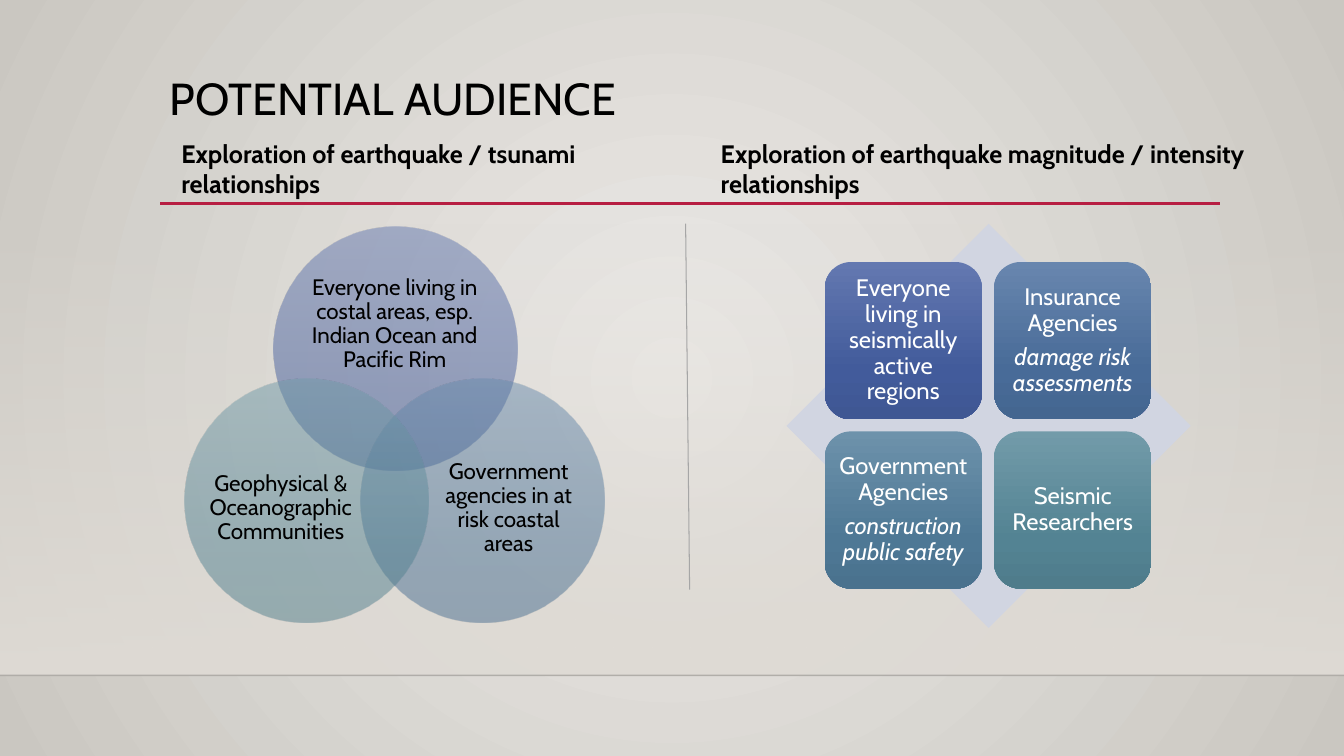
from lxml import etree
from pptx import Presentation
from pptx.dml.color import RGBColor
from pptx.enum.shapes import MSO_CONNECTOR as Connector, MSO_SHAPE as Shape
from pptx.enum.text import MSO_ANCHOR as Anchor, MSO_AUTO_SIZE as AutoSize, PP_ALIGN as Align
from pptx.oxml.ns import qn
from pptx.util import Pt

PX = 9144
WIDTH, HEIGHT = 1333, 750
FONT = "Cabin"
BLACK = RGBColor(0x00, 0x00, 0x00)
WHITE = RGBColor(0xFF, 0xFF, 0xFF)
CRIMSON = RGBColor(0xB7, 0x1E, 0x42)
GREY = RGBColor(0xA6, 0xA6, 0xA6)
PALE_BLUE = RGBColor(0xD1, 0xD5, 0xE1)
SAND = RGBColor(0xDF, 0xDB, 0xD5)
LIGHT_STONE = RGBColor(0xEC, 0xEA, 0xE7)
DARK_STONE = RGBColor(0xCA, 0xC7, 0xC1)


def shades(*colors):
    return [RGBColor.from_string(color) for color in colors]


INDIGO = shades("6378B0", "425B9B", "3F5793")
BLUE = shades("6886AE", "486B98", "446690")
STEEL = shades("6D92AB", "4E7895", "4A728E")
SLATE = shades("6A8CAD", "4B7297", "476C8F")
TEAL = shades("729BA9", "538393", "4F7C8B")
SHADE_STOPS = (0, 69, 100)


def px(*lengths):
    return [round(length * PX) for length in lengths]


def set_opacity(color_element, percent):
    if percent < 100:
        etree.SubElement(color_element, qn("a:alpha"), val=str(percent * 1000))


def set_gradient(holder, stops, circular=False):
    gradient = etree.Element(qn("a:gradFill"), rotWithShape="1")
    stop_list = etree.SubElement(gradient, qn("a:gsLst"))
    for position, color, opacity in stops:
        stop = etree.SubElement(stop_list, qn("a:gs"), pos=str(position * 1000))
        set_opacity(etree.SubElement(stop, qn("a:srgbClr"), val=str(color)), opacity)
    if circular:
        circle = etree.SubElement(gradient, qn("a:path"), {"path": "circle"})
        etree.SubElement(circle, qn("a:fillToRect"), dict.fromkeys("ltrb", "50000"))
    else:
        etree.SubElement(gradient, qn("a:lin"), ang="5400000", scaled="0")
    solid = holder.find(qn("a:solidFill"))
    holder.replace(solid, gradient)


def add_shape(slide, kind, box, color):
    shape = slide.shapes.add_shape(kind, *px(*box))
    shape.shadow.inherit = False
    shape.fill.solid()
    shape.fill.fore_color.rgb = color
    shape.line.fill.background()
    return shape


def add_shaded_shape(slide, kind, box, colors, opacity=100):
    shape = add_shape(slide, kind, box, colors[0])
    stops = [(stop, color, opacity) for stop, color in zip(SHADE_STOPS, colors)]
    set_gradient(shape.element.spPr, stops)
    return shape


def add_line(slide, ends, color, width, opacity=100):
    line = slide.shapes.add_connector(Connector.STRAIGHT, *px(*ends))
    line.line.color.rgb = color
    line.line.width = Pt(width)
    properties = line.element.spPr
    set_opacity(next(properties.iter(qn("a:srgbClr"))), opacity)
    etree.SubElement(properties, qn("a:effectLst"))


def write_text(frame, texts, font, paragraph_format=None, inset=None, anchor=Anchor.TOP):
    frame.word_wrap = True
    frame.vertical_anchor = anchor
    if inset is not None:
        for side in ("left", "top", "right", "bottom"):
            setattr(frame, f"margin_{side}", px(inset)[0])
    for index, text in enumerate(texts):
        paragraph = frame.add_paragraph() if index else frame.paragraphs[0]
        for name, value in (paragraph_format or {}).items():
            setattr(paragraph, name, value)
        run = paragraph.add_run()
        run.text = text
        for name, value in {"name": FONT, **font}.items():
            setattr(run.font, name, value)
        run.font.color.rgb = WHITE if font.get("size") == Pt(17) else BLACK
        if index:
            run.font.italic = True


CENTERED = {"alignment": Align.CENTER, "line_spacing": 0.9, "space_after": Pt(6)}


def add_backdrop(slide):
    slide.background.fill.solid()
    set_gradient(next(slide.element.iter(qn("p:bgPr"))),
                 [(0, LIGHT_STONE, 100), (100, DARK_STONE, 100)], circular=True)
    wall = add_shape(slide, Shape.RECTANGLE, (0, 221, WIDTH, 449), SAND)
    set_gradient(wall.element.spPr, [(0, SAND, 0), (100, SAND, 100)])
    add_line(slide, (0, 670, WIDTH, 670), BLACK, 1, 20)
    add_line(slide, (159, 202, 1210, 202), CRIMSON, 2.5)


def add_title(slide, box, text):
    title = slide.shapes.title
    title.left, title.top, title.width, title.height = px(*box)
    write_text(title.text_frame, [text], {"size": Pt(32)},
               {"alignment": Align.LEFT, "line_spacing": 0.9})


def add_heading(slide, box, text):
    frame = slide.shapes.add_textbox(*px(*box)).text_frame
    write_text(frame, [text], {"size": Pt(18), "bold": True})
    frame.auto_size = AutoSize.SHAPE_TO_FIT_TEXT


def add_venn(slide, left, top, diameter):
    lower_text = (62, 145, 133)
    circles = [
        (88, 0, INDIGO, (32, 42, 177, 109),
         "Everyone living in costal areas, esp. Indian Ocean and Pacific Rim"),
        (175, 151, SLATE, (74, *lower_text), "Government agencies in at risk coastal areas"),
        (0, 151, TEAL, (23, *lower_text), "Geophysical & Oceanographic Communities"),
    ]
    for across, down, colors, (text_x, text_y, width, height), text in circles:
        x, y = left + across, top + down
        add_shaded_shape(slide, Shape.OVAL, (x, y, diameter, diameter), colors, 50)
        label = slide.shapes.add_textbox(*px(x + text_x, y + text_y, width, height))
        write_text(label.text_frame, [text], {"size": Pt(16)}, CENTERED, 0, Anchor.MIDDLE)


def add_matrix(slide, left, top, side):
    add_shape(slide, Shape.DIAMOND, (left, top, side, side), PALE_BLUE)
    margin, card, pitch, inset = 38, 156, 168, 5
    cards = [
        (INDIGO, ["Everyone living in seismically active regions"]),
        (BLUE, ["Insurance Agencies", "damage risk assessments"]),
        (STEEL, ["Government Agencies", "construction public safety"]),
        (TEAL, ["Seismic Researchers"]),
    ]
    for index, (colors, texts) in enumerate(cards):
        row, column = divmod(index, 2)
        box = (left + margin + column * pitch, top + margin + row * pitch, card, card)
        shape = add_shaded_shape(slide, Shape.ROUNDED_RECTANGLE, box, colors)
        write_text(shape.text_frame, texts, {"size": Pt(17)}, CENTERED, inset, Anchor.MIDDLE)


def main():
    presentation = Presentation()
    presentation.slide_width, presentation.slide_height = px(WIDTH, HEIGHT)
    slide = presentation.slides.add_slide(presentation.slide_layouts[5])
    add_backdrop(slide)
    add_title(slide, (158, 71, 1050, 116), "POTENTIAL AUDIENCE")
    add_venn(slide, 183, 225, 242)
    add_matrix(slide, 780, 222, 401)
    add_heading(slide, (170, 132, 437, 71), "Exploration of earthquake / tsunami relationships")
    add_heading(slide, (705, 132, 541, 71),
                "Exploration of earthquake magnitude / intensity relationships")
    add_line(slide, (680, 222, 684, 585), GREY, 0.75)
    presentation.save("out.pptx")


if __name__ == "__main__":
    main()
